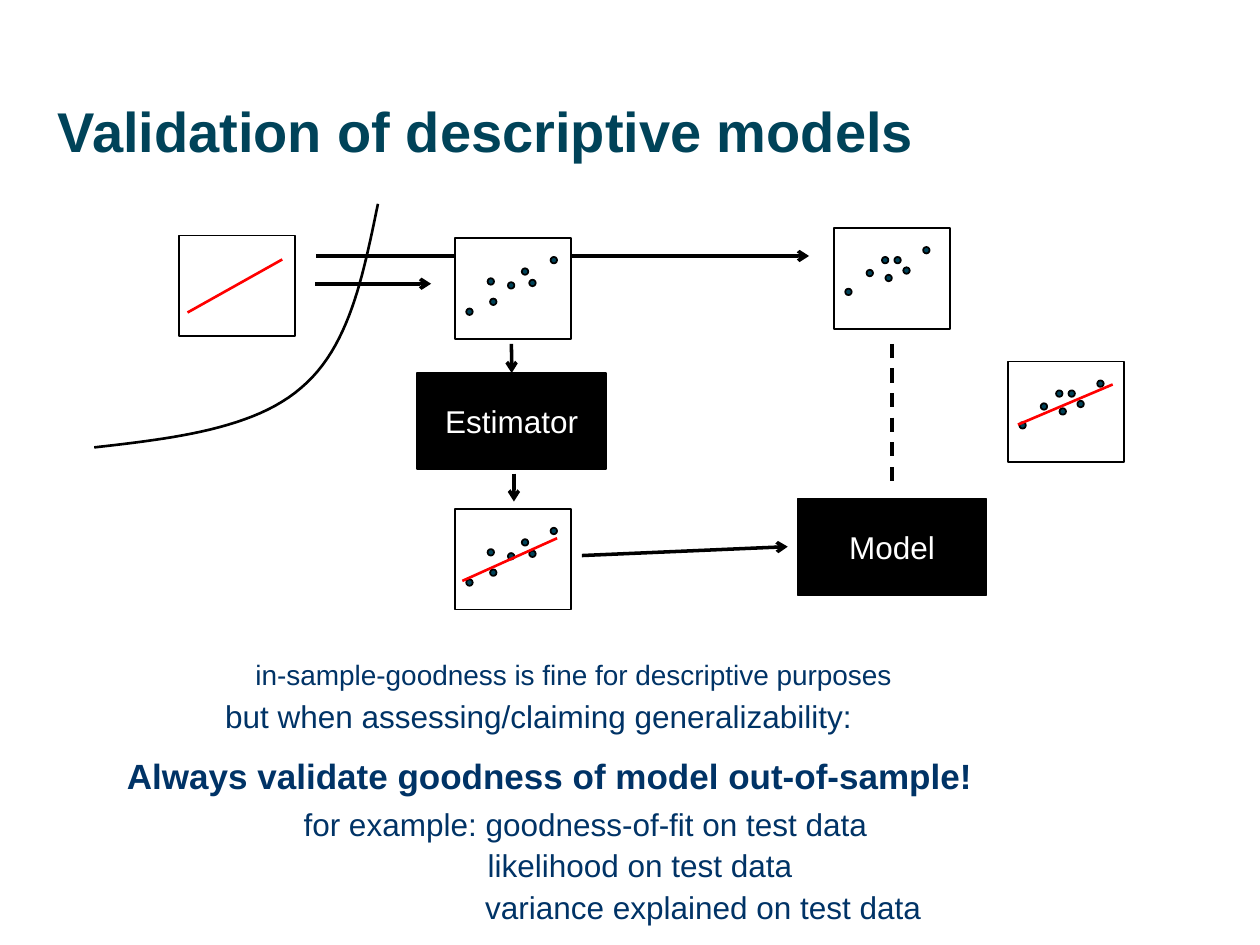
from lxml import etree
from pptx import Presentation
from pptx.dml.color import RGBColor
from pptx.enum.dml import MSO_LINE
from pptx.enum.shapes import MSO_CONNECTOR, MSO_SHAPE
from pptx.enum.text import MSO_ANCHOR, MSO_AUTO_SIZE, PP_ALIGN
from pptx.oxml.ns import qn
from pptx.util import Cm, Pt

RECT, OVAL = MSO_SHAPE.RECTANGLE, MSO_SHAPE.OVAL
STRAIGHT, DASH = MSO_CONNECTOR.STRAIGHT, MSO_LINE.DASH
LEFT, CENTER = PP_ALIGN.LEFT, PP_ALIGN.CENTER
MIDDLE, TOP, NO_FIT = MSO_ANCHOR.MIDDLE, MSO_ANCHOR.TOP, MSO_AUTO_SIZE.NONE
BLACK, WHITE, RED, TEAL, NAVY = "000000", "FFFFFF", "FF0000", "004359", "003366"
rgb = RGBColor.from_string


def paint(shape, fill, width):
    shape.shadow.inherit = False
    if fill:
        shape.fill.solid()
        shape.fill.fore_color.rgb = rgb(fill)
    else:
        shape.fill.background()
    shape.line.color.rgb = rgb(BLACK)
    shape.line.width = Pt(width)


def write(shape, text, size, color, bold=False, align=LEFT, anchor=TOP):
    frame = shape.text_frame
    frame.text = text
    for name, value in {"word_wrap": True, "auto_size": NO_FIT, "vertical_anchor": anchor}.items():
        setattr(frame, name, value)
    paragraph = frame.paragraphs[0]
    paragraph.alignment = align
    font = paragraph.runs[0].font
    for name, value in {"name": "Arial", "size": Pt(size), "bold": bold}.items():
        setattr(font, name, value)
    font.color.rgb = rgb(color)


prs = Presentation()
prs.slide_width, prs.slide_height = Cm(25.4), Cm(19.05)
slide = prs.slides.add_slide(prs.slide_layouts[5])
shapes = slide.shapes

title = shapes.title
for name, value in {"left": 0.91, "top": 1.73, "width": 23.57, "height": 1.8}.items():
    setattr(title, name, Cm(value))
write(title, "Validation of descriptive models", 32, TEAL, True, LEFT, MIDDLE)

steps = {}
for label, x, y in [("Estimator", 8.41, 7.52), ("Model", 16.08, 10.06)]:
    steps[label] = shapes.add_shape(RECT, Cm(x), Cm(y), Cm(3.81), Cm(1.93))
    paint(steps[label], BLACK, 1)
    write(steps[label], label, 18, WHITE, False, CENTER, MIDDLE)

train_dots = [(0.23, 1.42), (0.66, 0.81), (1.5, 0.84), (1.93, 0.38),
              (0.71, 1.22), (1.07, 0.89), (1.35, 0.61)]
test_dots = [(0.23, 1.22), (0.66, 0.84), (1.4, 0.79), (1.8, 0.38),
             (0.97, 0.58), (1.04, 0.94), (1.22, 0.58)]
plots = [
    (3.61, 4.75, None, []),
    (9.17, 4.8, WHITE, train_dots),
    (9.17, 10.26, None, train_dots),
    (16.81, 4.6, WHITE, test_dots),
    (20.32, 7.29, WHITE, test_dots),
]
links = [
    (6.38, 5.16, 16.31, 5.16, BLACK, 2, "arrow", None),
    (6.35, 5.72, 8.69, 5.72, BLACK, 2, "arrow", None),
    (10.31, 6.93, 10.31, 7.52, BLACK, 2, "arrow", "Estimator"),
    (10.36, 9.55, 10.36, 10.11, BLACK, 2, "arrow", None),
    (11.73, 11.2, 15.88, 11.02, BLACK, 2, "arrow", None),
    (17.98, 6.93, 17.98, 9.83, BLACK, 2, "dash", None),
    (3.78, 6.3, 5.69, 5.23, RED, 1.5, None, None),
    (9.32, 11.71, 11.23, 10.85, RED, 1.5, None, None),
    (20.52, 8.56, 22.43, 7.75, RED, 1.5, None, None),
]
flows = [link for link in links if link[4] == BLACK]
fits = [link for link in links if link[4] == RED]

for layer in (flows, plots, fits):
    for item in layer:
        if layer is plots:
            x, y, fill, dots = item
            plot = shapes.add_group_shape().shapes
            paint(plot.add_shape(RECT, Cm(x), Cm(y), Cm(2.34), Cm(2.03)), fill, 1)
            for dx, dy in dots:
                paint(plot.add_shape(OVAL, Cm(x + dx), Cm(y + dy), Cm(0.13), Cm(0.13)), TEAL, 1)
            continue
        x1, y1, x2, y2, color, width, style, target = item
        link = shapes.add_connector(STRAIGHT, Cm(x1), Cm(y1), Cm(x2), Cm(y2))
        link.line.color.rgb = rgb(color)
        link.line.width = Pt(width)
        if style == "dash":
            link.line.dash_style = DASH
        if style == "arrow":
            etree.SubElement(link.line._get_or_add_ln(), qn("a:tailEnd"), type="arrow")
        etree.SubElement(link._element.spPr, qn("a:effectLst"))
        if target:
            link.end_connect(steps[target], 0)

bends = [
    [(1.9, 9.02), (3.51, 8.84), (5.13, 8.64), (6.07, 7.82)],
    [(6.07, 7.82), (7.04, 7.01), (7.32, 5.56), (7.62, 4.11)],
]
STEPS = 24
curve_points = []
for bend in bends:
    for step in range(STEPS + 1):
        t = step / STEPS
        weights = [(1 - t) ** 3, 3 * t * (1 - t) ** 2, 3 * t ** 2 * (1 - t), t ** 3]
        curve_points.append(tuple(Cm(sum(w * p[axis] for w, p in zip(weights, bend)))
                                  for axis in (0, 1)))
builder = shapes.build_freeform(*curve_points[0])
builder.add_line_segments(curve_points[1:], close=False)
paint(builder.convert_to_shape(), None, 1.5)

notes = [
    ("in-sample-goodness is fine for descriptive purposes", 4.9, 13.13, 14, 1.04, 16, False),
    ("but when assessing/claiming generalizability:", 4.29, 13.92, 14, 1.04, 18, False),
    ("Always validate goodness of model out-of-sample!", 2.31, 15.09, 19.35, 1.04, 20, True),
    ("for example: goodness-of-fit on test data", 5.87, 16.1, 15.85, 1.4, 18, False),
    ("likelihood on test data", 9.58, 16.94, 9.7, 1.4, 18, False),
    ("variance explained on test data", 9.53, 17.78, 9.7, 1.27, 18, False),
]
for text, x, y, w, h, size, bold in notes:
    write(shapes.add_textbox(Cm(x), Cm(y), Cm(w), Cm(h)), text, size, NAVY, bold)

prs.save("out.pptx")
